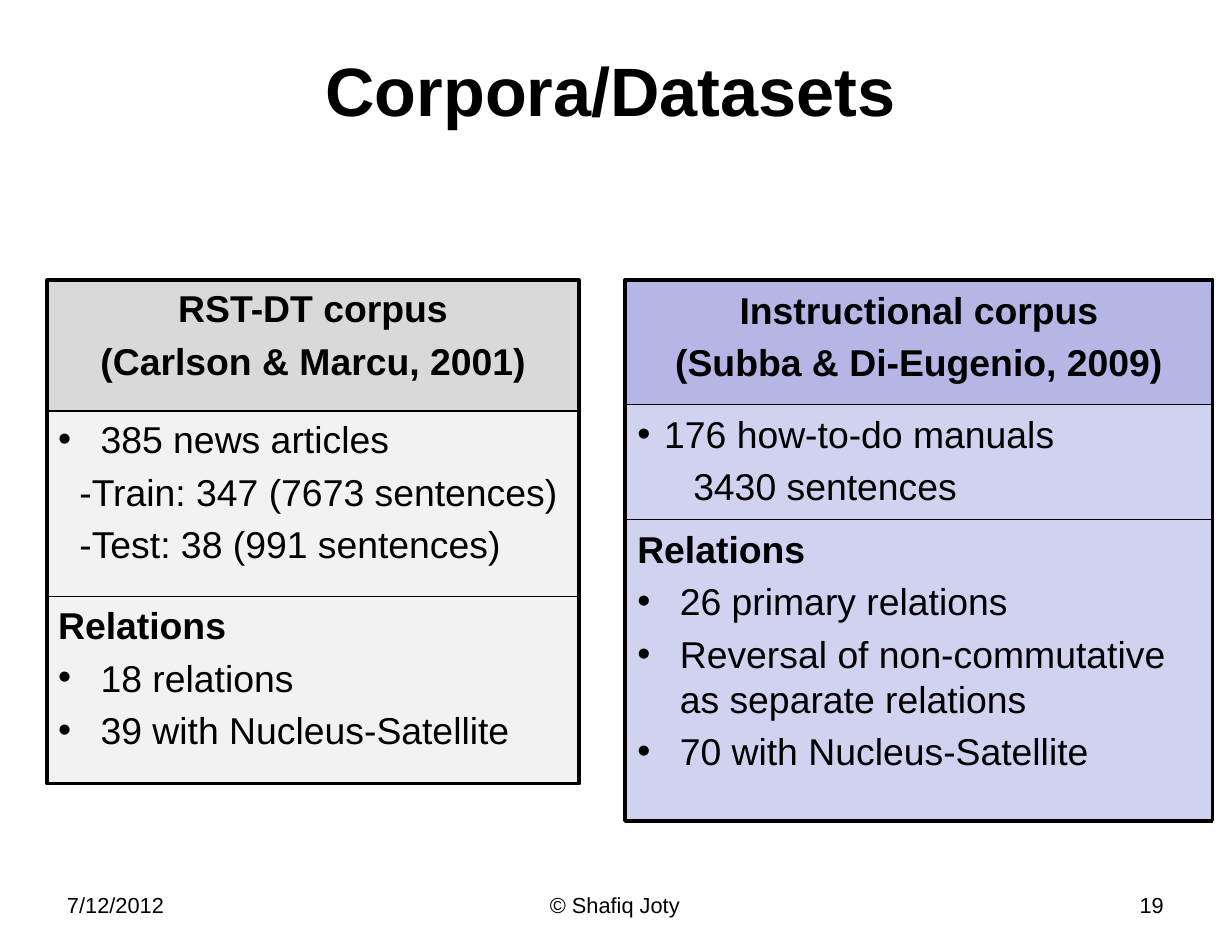
from lxml.etree import SubElement
from pptx import Presentation
from pptx.dml.color import RGBColor
from pptx.enum.shapes import MSO_SHAPE
from pptx.enum.text import MSO_ANCHOR, PP_ALIGN
from pptx.oxml.ns import qn
from pptx.util import Inches, Pt

# Theme
THEME = {
    "font": "Arial", "ink": "000000",
    "title": 44, "body": 24, "foot": 14,
    "thin": 0.75, "thick": 2,
    "gray": "D9D9D9", "pale": "F2F2F2",
    "blue": "A3A3E0", "sky": "D1D1F0",
}
WIDE, HIGH = 11, 8.5
TOP = 2.5
LEFT, MID, RIGHT = PP_ALIGN.LEFT, PP_ALIGN.CENTER, PP_ALIGN.RIGHT

# Paragraph kinds
HEAD = {"bold": True, "align": MID}
LABEL = {"bold": True}
ITEM = {"bullet": True, "indent": 0.38}
NEAR = {"bullet": True, "indent": 0.24}
DASH = {"indent": 0.19}
SUB = {"indent": 0.5}

# Content: each row is (top, height, paragraphs), the first being the header
PANELS = [
    {"left": 0.42, "width": 4.75, "height": 4.5, "inset": (0.1, 0.05),
     "fills": ("gray", "pale"), "alpha": None, "rows": [
         (0, 1.17, [("RST-DT corpus", HEAD),
                    ("(Carlson & Marcu, 2001)", HEAD)]),
         (1.17, 1.67, [("385 news articles", ITEM),
                       ("-Train: 347 (7673 sentences)", DASH),
                       ("-Test: 38 (991 sentences)", DASH)]),
         (2.83, 1.67, [("Relations", LABEL),
                       ("18 relations", ITEM),
                       ("39 with Nucleus-Satellite", ITEM)]),
     ]},
    {"left": 5.58, "width": 5.25, "height": 4.83, "inset": (0.11, 0.06),
     "fills": ("blue", "sky"), "alpha": 80, "rows": [
         (0, 1.13, [("Instructional corpus", HEAD),
                    ("(Subba & Di-Eugenio, 2009)", HEAD)]),
         (1.11, 1.06, [("176 how-to-do manuals", NEAR),
                       ("3430 sentences", SUB)]),
         (2.14, 2.7, [("Relations", LABEL),
                      ("26 primary relations", ITEM),
                      ("Reversal of non-commutative as separate relations", ITEM),
                      ("70 with Nucleus-Satellite", ITEM)]),
     ]},
]
FOOT = [
    ("7/12/2012", 0.5, 2.57, LEFT),
    ("© Shafiq Joty", 3.75, 3.48, MID),
    ("19", 7.92, 2.57, RIGHT),
]


def tint(name):
    return RGBColor.from_string(THEME[name])


def write(par, text, size="body", bold=False, align=LEFT,
          bullet=False, indent=0, gap=0):
    """Fill one paragraph; gap is the space before, in percent of a line."""
    run = par.add_run()
    run.text = text
    run.font.name = THEME["font"]
    run.font.size = Pt(THEME[size])
    run.font.bold = bold
    run.font.color.rgb = tint("ink")
    par.alignment = align
    props = par._p.get_or_add_pPr()
    props.set("marL", str(Inches(indent)))
    props.set("indent", str(Inches(-indent if bullet else 0)))
    if gap:
        space = SubElement(props, qn("a:spcBef"))
        SubElement(space, qn("a:spcPct")).set("val", str(gap * 1000))
    if bullet:
        SubElement(props, qn("a:buFont")).set("typeface", THEME["font"])
        SubElement(props, qn("a:buChar")).set("char", "•")


def frame(shape, inset=(0.1, 0.05), anchor=MSO_ANCHOR.TOP):
    body = shape.text_frame
    body.word_wrap = True
    body.vertical_anchor = anchor
    body.margin_left = body.margin_right = Inches(inset[0])
    body.margin_top = body.margin_bottom = Inches(inset[1])
    return body


def box(slide, place, fill=None, line=None, alpha=None):
    shape = slide.shapes.add_shape(MSO_SHAPE.RECTANGLE, *map(Inches, place))
    shape.shadow.inherit = False
    if fill:
        shape.fill.solid()
        shape.fill.fore_color.rgb = tint(fill)
    else:
        shape.fill.background()
    if alpha:
        color = shape.element.spPr.find(qn("a:solidFill"))[0]
        SubElement(color, qn("a:alpha")).set("val", str(alpha * 1000))
    if line:
        shape.line.color.rgb = tint("ink")
        shape.line.width = Pt(THEME[line])
    else:
        shape.line.fill.background()
    return shape


def label(slide, place, text, anchor=MSO_ANCHOR.TOP, **style):
    shape = slide.shapes.add_textbox(*map(Inches, place))
    write(frame(shape, anchor=anchor).paragraphs[0], text, **style)


def panel(slide, data):
    left, width = data["left"], data["width"]
    for num, (top, high, lines) in enumerate(data["rows"]):
        first = num == 0
        shape = box(slide, (left, TOP + top, width, high),
                    fill=data["fills"][0 if first else 1],
                    line=None if first else "thin",
                    alpha=data["alpha"] if first else None)
        body = frame(shape, data["inset"])
        for pos, (text, style) in enumerate(lines):
            par = body.add_paragraph() if pos else body.paragraphs[0]
            write(par, text, gap=20, **style)
    # Heavy outline around the rows
    box(slide, (left, TOP, width, data["height"]), line="thick")


def main():
    deck = Presentation()
    deck.slide_width, deck.slide_height = Inches(WIDE), Inches(HIGH)
    slide = deck.slides.add_slide(deck.slide_layouts[6])

    # Title
    label(slide, (0.33, 0.17, 10.25, 1.25), "Corpora/Datasets",
          anchor=MSO_ANCHOR.MIDDLE, size="title", bold=True, align=MID)

    # Corpus panels
    for data in PANELS:
        panel(slide, data)

    # Footer
    for text, left, width, align in FOOT:
        label(slide, (left, 7.91, width, HIGH - 7.91), text,
              size="foot", align=align)

    deck.save("out.pptx")


if __name__ == "__main__":
    main()
